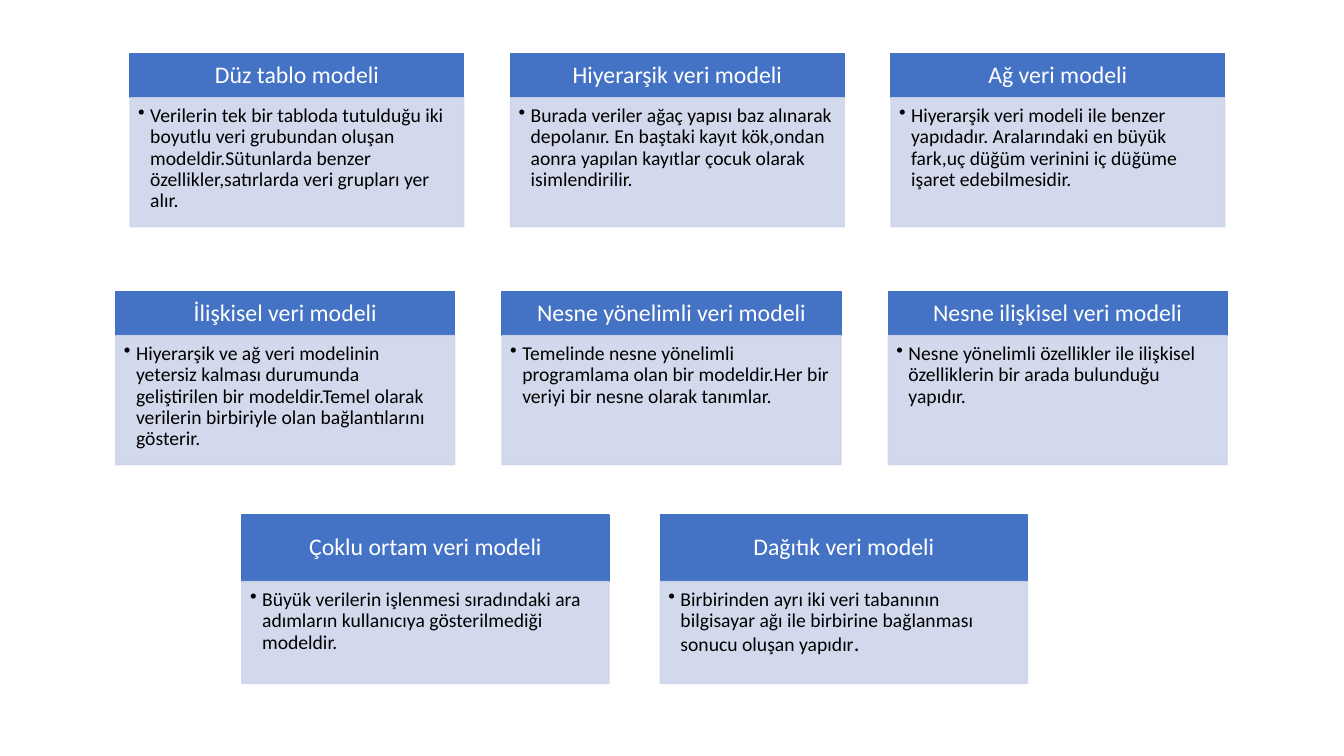
import pptx
import pptx.dml.color
import pptx.enum.shapes
import pptx.enum.text
import pptx.oxml.ns
import pptx.util
from lxml import etree

Inches = pptx.util.Inches
Pt = pptx.util.Pt

BLUE, PALE, WHITE, BLACK = "4472C4", "CFD5EA", "FFFFFF", "000000"
FONT = "Calibri"
GAP_SHARE = 0.14  # gap between cards as a share of card width

# left, top, card width, header height, body height, models
ROWS = [
    (1.29, 0.53, 3.31, 0.44, 1.28, [
        ("Düz tablo modeli",
         "Verilerin tek bir tabloda tutulduğu iki boyutlu veri grubundan oluşan "
         "modeldir.Sütunlarda benzer özellikler,satırlarda veri grupları yer alır."),
        ("Hiyerarşik veri modeli",
         "Burada veriler ağaç yapısı baz alınarak depolanır. En baştaki kayıt "
         "kök,ondan aonra yapılan kayıtlar çocuk olarak isimlendirilir."),
        ("Ağ veri modeli",
         "Hiyerarşik veri modeli ile benzer yapıdadır. Aralarındaki en büyük "
         "fark,uç düğüm verinini iç düğüme işaret edebilmesidir."),
    ]),
    (1.15, 2.89, 3.36, 0.44, 1.28, [
        ("İlişkisel veri modeli",
         "Hiyerarşik ve ağ veri modelinin yetersiz kalması durumunda geliştirilen "
         "bir modeldir.Temel olarak verilerin birbiriyle olan bağlantılarını gösterir."),
        ("Nesne yönelimli veri modeli",
         "Temelinde nesne yönelimli programlama olan bir modeldir.Her bir veriyi "
         "bir nesne olarak tanımlar."),
        ("Nesne ilişkisel veri modeli",
         "Nesne yönelimli özellikler ile ilişkisel özelliklerin bir arada "
         "bulunduğu yapıdır."),
    ]),
    (2.4, 5.11, 3.64, 0.66, 1.01, [
        ("Çoklu ortam veri modeli",
         "Büyük verilerin işlenmesi sıradındaki ara adımların kullanıcıya "
         "gösterilmediği modeldir."),
        ("Dağıtık veri modeli",
         "Birbirinden ayrı iki veri tabanının bilgisayar ağı ile birbirine "
         "bağlanması sonucu oluşan yapıdır"),
    ]),
]


def color(hex_value):
    return pptx.dml.color.RGBColor.from_string(hex_value)


def format_run(run, size, hex_value):
    run.font.name = FONT
    run.font.size = Pt(size)
    run.font.color.rgb = color(hex_value)


def add_panel(slide, box, fill, text, size, text_color, insets, anchor):
    """Add a filled rectangle with one paragraph of text."""
    panel = slide.shapes.add_shape(
        pptx.enum.shapes.MSO_SHAPE.RECTANGLE, *map(Inches, box))
    panel.shadow.inherit = False
    panel.fill.solid()
    panel.fill.fore_color.rgb = color(fill)
    panel.line.color.rgb = color(fill)
    panel.line.width = Pt(1)
    frame = panel.text_frame
    frame.word_wrap = True
    frame.vertical_anchor = anchor
    (frame.margin_left, frame.margin_top,
     frame.margin_right, frame.margin_bottom) = map(Inches, insets)
    frame.text = text
    paragraph = frame.paragraphs[0]
    paragraph.line_spacing = 0.9
    format_run(paragraph.runs[0], size, text_color)
    return panel


def make_translucent(panel, percent):
    qn = pptx.oxml.ns.qn
    for shade in panel.fill._xPr.iter(qn("a:srgbClr")):
        etree.SubElement(shade, qn("a:alpha"), val=str(percent * 1000))


def add_bullet(paragraph):
    qn = pptx.oxml.ns.qn
    properties = paragraph._p.get_or_add_pPr()
    properties.set("marL", str(Inches(0.12)))
    properties.set("indent", str(Inches(-0.12)))
    etree.SubElement(properties, qn("a:buChar"), char="•")


def add_model_card(slide, left, top, width, header_height, body_height, name, description):
    """Draw a header over a bulleted body and return the body paragraph."""
    anchors = pptx.enum.text.MSO_ANCHOR
    alignments = pptx.enum.text.PP_ALIGN
    header = add_panel(slide, (left, top, width, header_height), BLUE, name, 17,
                       WHITE, (0.13, 0.08, 0.13, 0.08), anchors.MIDDLE)
    header.text_frame.paragraphs[0].alignment = alignments.CENTER
    body = add_panel(slide, (left, top + header_height, width, body_height), PALE,
                     description, 14, BLACK, (0.08, 0.08, 0.11, 0.12), anchors.TOP)
    make_translucent(body, 90)
    paragraph = body.text_frame.paragraphs[0]
    paragraph.alignment = alignments.LEFT
    paragraph.level = 1
    add_bullet(paragraph)
    return paragraph


def add_model_row(slide, left, top, width, header_height, body_height, models):
    """Place cards side by side and return the last body paragraph."""
    pitch = width * (1 + GAP_SHARE)
    return [add_model_card(slide, left + column * pitch, top, width,
                           header_height, body_height, *model)
            for column, model in enumerate(models)][-1]


def main():
    deck = pptx.Presentation()
    deck.slide_width, deck.slide_height = Inches(13.33), Inches(7.5)
    slide = deck.slides.add_slide(deck.slide_layouts[6])
    for row in ROWS:
        last_description = add_model_row(slide, *row)
    full_stop = last_description.add_run()
    full_stop.text = "."
    format_run(full_stop, 16, BLACK)
    deck.save("out.pptx")


if __name__ == "__main__":
    main()
